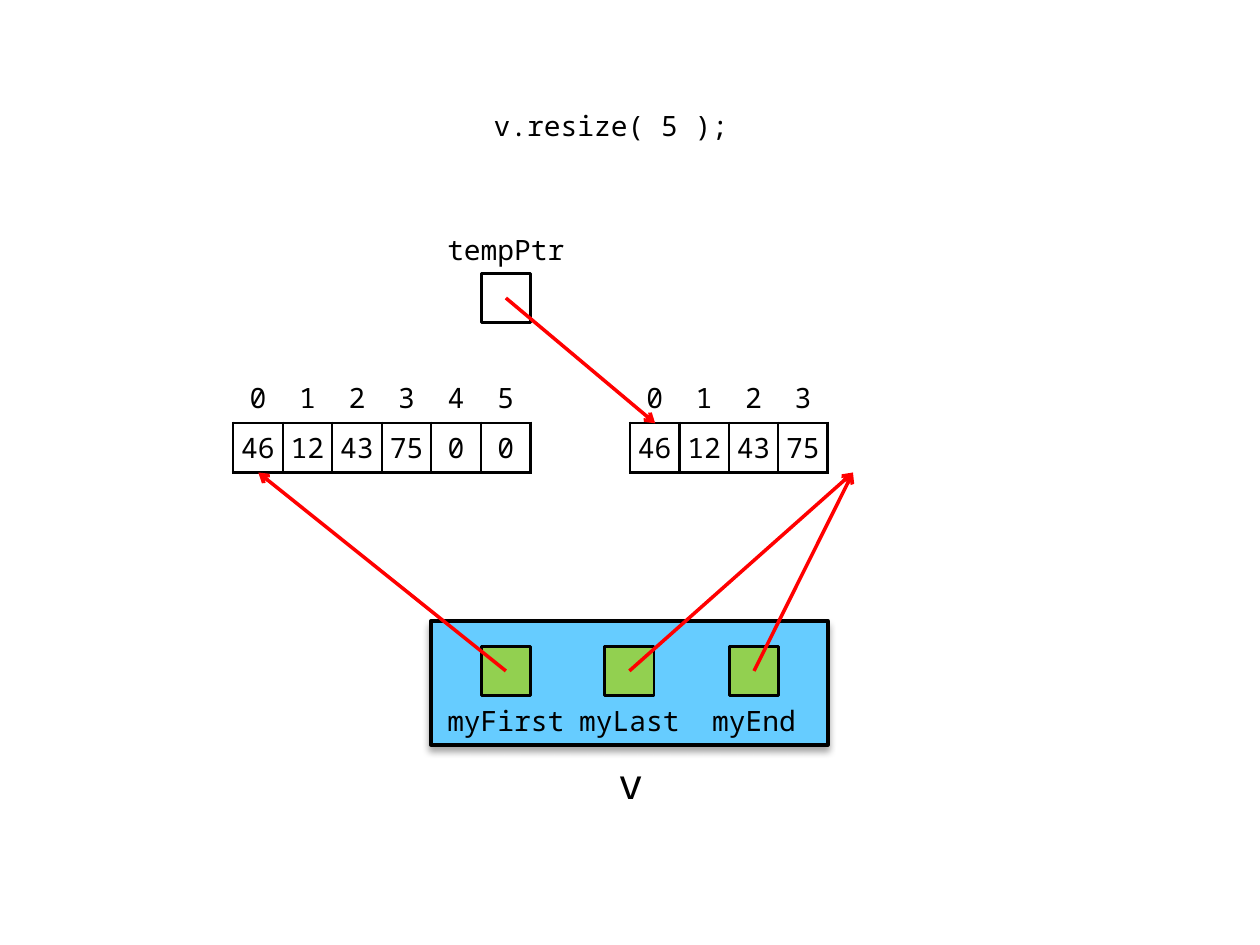
from lxml.etree import SubElement
from pptx import Presentation
from pptx.dml.color import RGBColor
from pptx.enum.shapes import MSO_CONNECTOR, MSO_SHAPE
from pptx.enum.text import MSO_ANCHOR, PP_ALIGN
from pptx.oxml import parse_xml
from pptx.oxml.ns import nsdecls, qn
from pptx.util import Inches, Pt

FONT = "Noto Sans Mono"
BLACK, WHITE, RED, BLUE, GREEN = "000000", "FFFFFF", "FF0000", "66CCFF", "92D050"
CELL = 0.39
LABEL_WIDTH = 1.18
POINTER_LEFTS = {"myFirst": 3.82, "myLast": 4.8, "myEnd": 5.79}
POINTER_TOP = 5.13
ARRAY_TOP, ARRAY_HEIGHT = 2.96, 0.79
ARRAY_BOTTOM = ARRAY_TOP + ARRAY_HEIGHT


def color(hex_value):
    """Turn a hex string into a colour."""
    return RGBColor.from_string(hex_value)


def write(frame, text, size=16, align=PP_ALIGN.CENTER):
    """Write one run of black monospaced text into a frame."""
    paragraph = frame.paragraphs[0]
    paragraph.alignment = align
    run = paragraph.add_run()
    run.text = text
    run.font.name = FONT
    run.font.size = Pt(size)
    run.font.color.rgb = color(BLACK)


def add_label(slide, text, left, top, width, height=CELL, size=16, align=PP_ALIGN.CENTER):
    """Add a vertically centred text box."""
    box = slide.shapes.add_textbox(Inches(left), Inches(top), Inches(width), Inches(height))
    frame = box.text_frame
    frame.word_wrap = True
    frame.vertical_anchor = MSO_ANCHOR.MIDDLE
    write(frame, text, size, align)


def add_box(slide, kind, left, top, width, height, fill, line_width):
    """Add a filled shape with a black outline and no shadow."""
    shape = slide.shapes.add_shape(kind, Inches(left), Inches(top), Inches(width), Inches(height))
    shape.shadow.inherit = False
    shape.fill.solid()
    shape.fill.fore_color.rgb = color(fill)
    shape.line.color.rgb = color(BLACK)
    shape.line.width = Pt(line_width)
    return shape


def add_shadow(shape):
    """Give a shape a soft shadow straight below it."""
    effects = shape._element.spPr.find(qn("a:effectLst"))
    effects.append(parse_xml(
        f'<a:outerShdw {nsdecls("a")} blurRad="{Pt(4)}" dist="{Pt(3)}" dir="5400000" '
        f'rotWithShape="0"><a:srgbClr val="{BLACK}"><a:alpha val="35000"/></a:srgbClr>'
        '</a:outerShdw>'))


def add_pointer(slide, name, left, top, fill):
    """Add a square pointer variable and return its centre."""
    label_top = top - CELL if name == "tempPtr" else top + CELL
    add_box(slide, MSO_SHAPE.RECTANGLE, left, top, CELL, CELL, fill, 1.5)
    add_label(slide, name, left + (CELL - LABEL_WIDTH) / 2, label_top, LABEL_WIDTH)
    return left + CELL / 2, top + CELL / 2


def add_arrow(slide, start, end):
    """Add a red arrow between two points."""
    points = [Inches(value) for value in (*start, *end)]
    connector = slide.shapes.add_connector(MSO_CONNECTOR.STRAIGHT, *points)
    connector.line.color.rgb = color(RED)
    connector.line.width = Pt(2)
    SubElement(connector.line._get_or_add_ln(), qn("a:tailEnd"), type="arrow")
    SubElement(connector._element.spPr, qn("a:effectLst"))


def set_borders(cell, visible_sides):
    """Draw the named sides of a cell in black and hide the others."""
    properties = cell._tc.get_or_add_tcPr()
    for position, side in enumerate("LRTB"):
        paint = (f'<a:solidFill><a:srgbClr val="{BLACK}"/></a:solidFill>'
                 if side in visible_sides else "<a:noFill/>")
        properties.insert(position, parse_xml(
            f'<a:ln{side} {nsdecls("a")} w="{Pt(1.5)}">{paint}</a:ln{side}>'))


def add_array(slide, left, width, values):
    """Add an array as a row of indexes above a row of bordered values."""
    count = len(values)
    table = slide.shapes.add_table(2, count, Inches(left), Inches(ARRAY_TOP),
                                   Inches(width), Inches(ARRAY_HEIGHT)).table
    table.first_row = table.horz_banding = False
    for column in table.columns:
        column.width = Inches(width / count)
    for row, (texts, sides) in enumerate(((range(count), "B"), (values, "LRTB"))):
        for column, text in enumerate(texts):
            cell = table.cell(row, column)
            cell.fill.background()
            cell.vertical_anchor = MSO_ANCHOR.MIDDLE
            cell.margin_left = cell.margin_right = Inches(0.06)
            cell.margin_top = cell.margin_bottom = Inches(0.04)
            write(cell.text_frame, str(text))
            set_borders(cell, sides)


def main():
    """Build the slide and save it."""
    presentation = Presentation()
    presentation.slide_width, presentation.slide_height = Inches(10), Inches(7.5)
    slide = presentation.slides.add_slide(presentation.slide_layouts[6])

    add_label(slide, "v.resize( 5 );", 3.82, 0.8, 2.36, align=PP_ALIGN.LEFT)
    add_array(slide, 5, 1.57, [46, 12, 43, 75])
    add_array(slide, 1.85, 2.36, [46, 12, 43, 75, 0, 0])

    add_label(slide, "v", 4.61, 5.92, 0.79, 0.59, size=24)
    add_shadow(add_box(slide, MSO_SHAPE.FLOWCHART_PROCESS, 3.42, 4.93, 3.15, 0.98, BLUE, 2.25))
    centres = {name: add_pointer(slide, name, left, POINTER_TOP, GREEN)
               for name, left in POINTER_LEFTS.items()}
    targets = {"myEnd": 6.77, "myLast": 6.77, "myFirst": 2.05}
    for name, target in targets.items():
        add_arrow(slide, centres[name], (target, ARRAY_BOTTOM))

    temporary = add_pointer(slide, "tempPtr", 3.82, 2.17, WHITE)
    add_arrow(slide, temporary, (5.2, 3.36))
    presentation.save("out.pptx")


if __name__ == "__main__":
    main()
